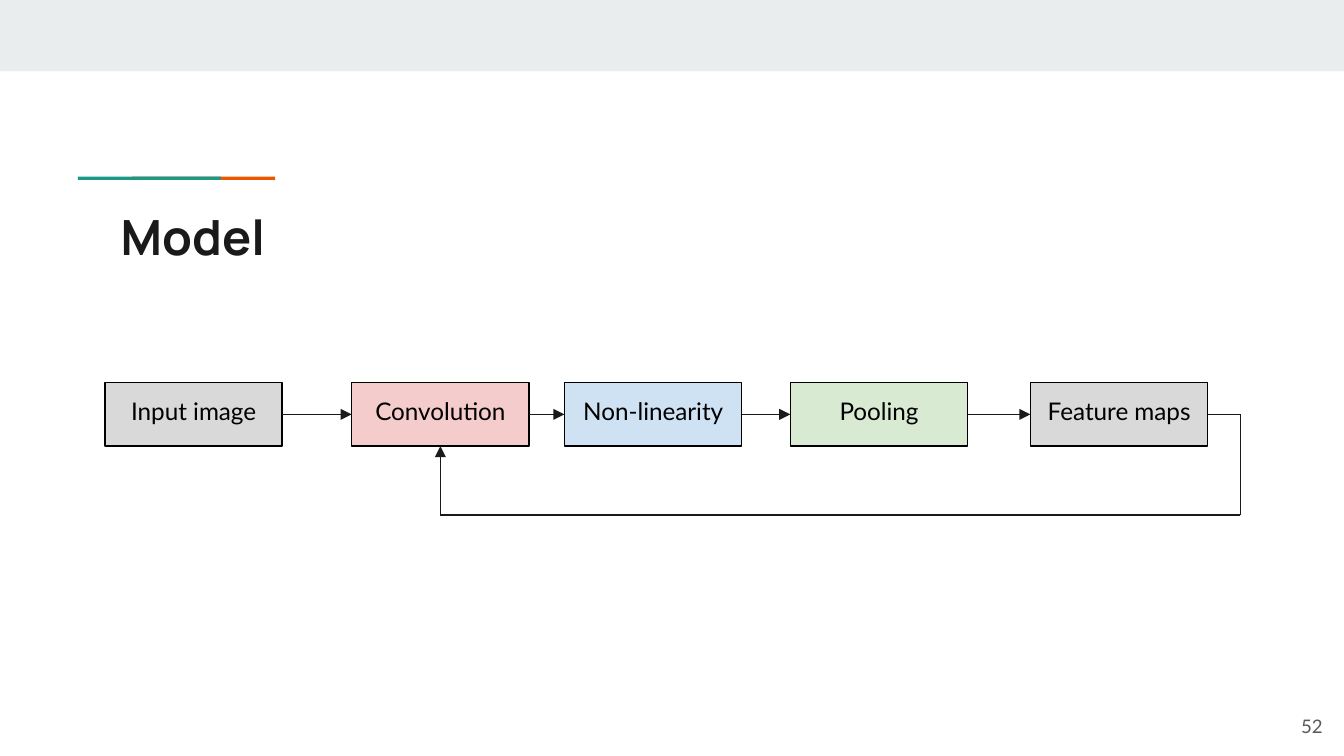
from dataclasses import dataclass
from itertools import pairwise

from lxml.etree import SubElement
from pptx import Presentation
from pptx.dml.color import RGBColor
from pptx.enum.shapes import MSO_CONNECTOR, MSO_SHAPE
from pptx.enum.text import MSO_ANCHOR, PP_ALIGN
from pptx.oxml.ns import qn
from pptx.util import Pt


@dataclass(frozen=True)
class Theme:
    """Colours, fonts and sizes of the slide."""
    band: str = "E9EDEE"
    teal: str = "1A9988"
    orange: str = "EB5600"
    ink: str = "1A1A1A"
    black: str = "000000"
    muted: str = "595959"
    grey: str = "D9D9D9"
    pink: str = "F4CCCC"
    blue: str = "CFE2F3"
    green: str = "D9EAD3"
    heading_font: str = "Manrope"
    body_font: str = "Lato"
    title_size: float = 26
    step_size: float = 13
    number_size: float = 10
    stroke: float = 0.75
    inset: float = 7.2


THEME = Theme()
STEPS = [
    ("Input image", 56.2, THEME.grey),
    ("Convolution", 188.4, THEME.pink),
    ("Non-linearity", 302.4, THEME.blue),
    ("Pooling", 423.4, THEME.green),
    ("Feature maps", 552, THEME.grey),
]


def add_rect(page, left, top, width, height, fill, line=None):
    """Add a flat rectangle with an optional outline."""
    shape = page.shapes.add_shape(
        MSO_SHAPE.RECTANGLE, Pt(left), Pt(top), Pt(width), Pt(height))
    shape.shadow.inherit = False
    shape.fill.solid()
    shape.fill.fore_color.rgb = RGBColor.from_string(fill)
    if line:
        shape.line.color.rgb = RGBColor.from_string(line)
        shape.line.width = Pt(THEME.stroke)
    else:
        shape.line.fill.background()
    return shape


def write(shape, text, font, size, color, align=PP_ALIGN.LEFT,
          anchor=MSO_ANCHOR.TOP, bold=False):
    """Write one styled run into a shape."""
    frame = shape.text_frame
    frame.word_wrap = True
    frame.vertical_anchor = anchor
    frame.margin_left = frame.margin_right = Pt(THEME.inset)
    frame.margin_top = frame.margin_bottom = Pt(THEME.inset)
    para = frame.paragraphs[0]
    para.alignment = align
    span = para.add_run()
    span.text = text
    span.font.name = font
    span.font.size = Pt(size)
    span.font.bold = bold
    span.font.color.rgb = RGBColor.from_string(color)


def add_line(page, start, end, arrow=False):
    """Connect two points, with an arrowhead at the end if wanted."""
    line = page.shapes.add_connector(
        MSO_CONNECTOR.STRAIGHT, *(Pt(value) for value in (*start, *end)))
    line.line.color.rgb = RGBColor.from_string(THEME.ink)
    line.line.width = Pt(THEME.stroke)
    if arrow:
        SubElement(line.line._get_or_add_ln(), qn("a:tailEnd"), type="triangle")
    SubElement(line._element.spPr, qn("a:effectLst"))


def add_header(page, left, top, width, height):
    """Place the top band, the two-colour accent and the title."""
    add_rect(page, left, top, width, 38.2, THEME.band)
    for offset, color in ((70.8, THEME.orange), (41.8, THEME.teal)):
        add_rect(page, left + offset, top + 94.6, 76.6, 1.8, color)
    title = page.shapes.add_textbox(
        Pt(left + 57.6), Pt(top + height - 42.5), Pt(605.5), Pt(42.5))
    write(title, "Model", THEME.heading_font, THEME.title_size, THEME.ink,
          bold=True)


def add_page_number(page, left, top, width, height):
    """Place the page number in its box."""
    box = page.shapes.add_textbox(Pt(left), Pt(top), Pt(width), Pt(height))
    write(box, "52", THEME.body_font, THEME.number_size, THEME.muted,
          PP_ALIGN.RIGHT, MSO_ANCHOR.MIDDLE)


def add_flow(page, top, width, height, right, bottom):
    """Place the steps in a row, their arrows and the return loop."""
    middle = top + height / 2
    for label, left, fill in STEPS:
        box = add_rect(page, left, top, width, height, fill, THEME.black)
        write(box, label, THEME.body_font, THEME.step_size, THEME.black,
              PP_ALIGN.CENTER)
    lefts = [left for _, left, _ in STEPS]
    for before, after in pairwise(lefts):
        add_line(page, (before + width, middle), (after, middle), arrow=True)
    target = lefts[1] + width / 2
    corners = [(lefts[-1] + width, middle), (right, middle), (right, bottom),
               (target, bottom), (target, top + height)]
    for start, end in pairwise(corners):
        add_line(page, start, end, arrow=end == corners[-1])


def main():
    """Build the deck and save it."""
    deck = Presentation()
    deck.slide_width, deck.slide_height = Pt(720), Pt(405)
    page = deck.slides.add_slide(deck.slide_layouts[6])
    add_header(page, 0, 0, 720, 146.2)
    add_page_number(page, 672.5, 373.7, 43.2, 31)
    add_flow(page, 205, 95, 34, 664.5, 276)
    deck.save("out.pptx")


if __name__ == "__main__":
    main()
